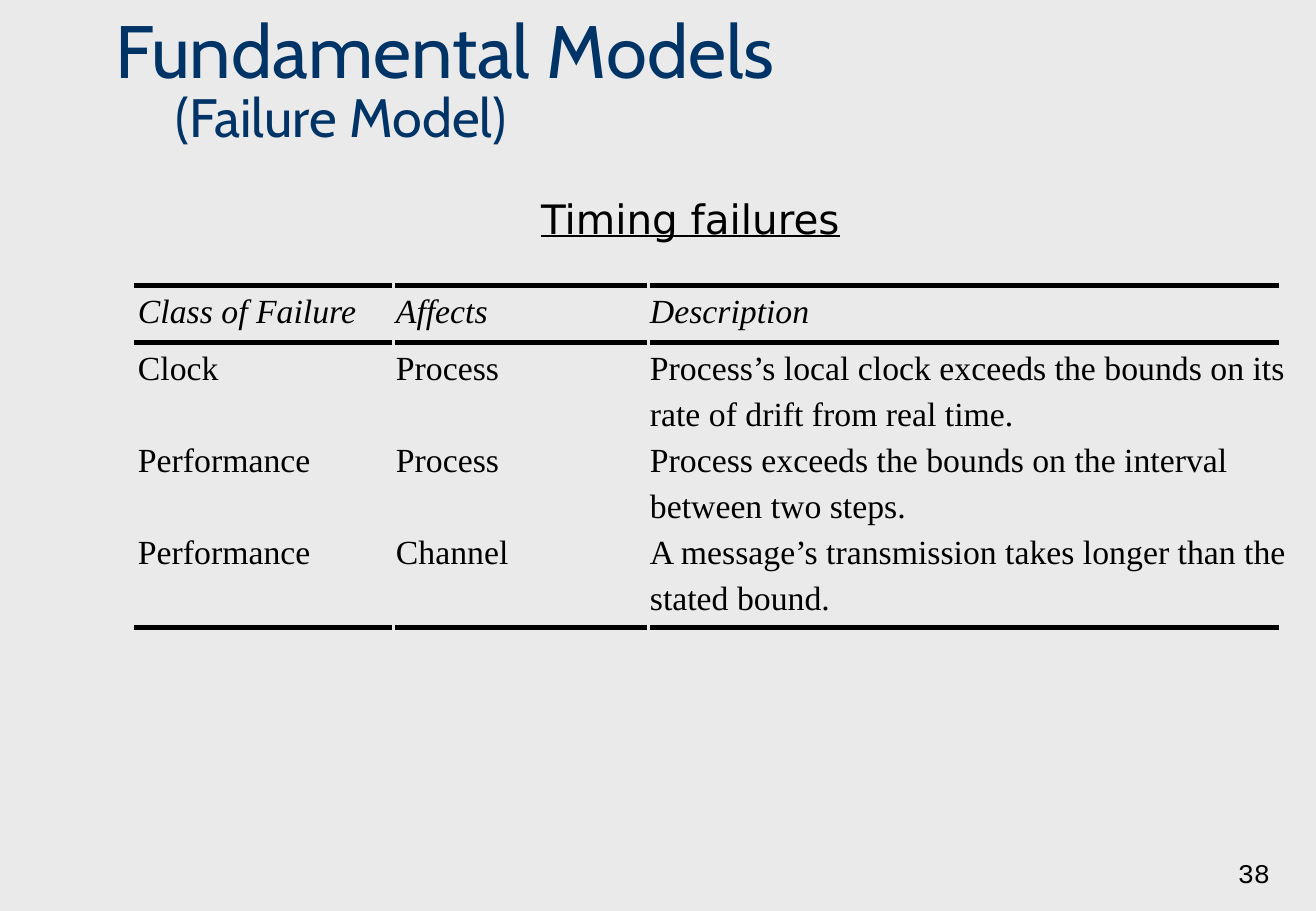
"""Build the slide on timing failures in the failure model."""
from typing import Any, NamedTuple

from lxml import etree
from pptx import Presentation
from pptx.dml.color import RGBColor
from pptx.enum.shapes import MSO_CONNECTOR
from pptx.enum.text import MSO_ANCHOR, MSO_AUTO_SIZE, PP_ALIGN
from pptx.oxml.ns import qn
from pptx.util import Inches, Pt

LEFT, MID, RIGHT = PP_ALIGN.LEFT, PP_ALIGN.CENTER, PP_ALIGN.RIGHT
TOP, BASE = MSO_ANCHOR.TOP, MSO_ANCHOR.BOTTOM
FIXED = MSO_AUTO_SIZE.NONE
STRAIGHT = MSO_CONNECTOR.STRAIGHT

SCALE = 7532
PLAIN = "{2D5ABB26-0587-4C30-8999-92F81FD0307C}"
PAPER, NAVY, BLACK = "EAEAEA", "003366", "000000"

HEAD = {"name": "Cabin", "size": Pt(44)}
SUB = {"name": "Cabin", "size": Pt(32)}
TOPIC = {"name": "DejaVu Sans", "size": Pt(24), "underline": True}
CELL = {"name": "Times New Roman", "size": Pt(20), "italic": False}
LABEL = {**CELL, "italic": True}
PAGE = {"name": "Courier New", "size": Pt(16)}


class Box(NamedTuple):
    left: int
    top: int
    width: int
    height: int


class Note(NamedTuple):
    text: str
    box: Box
    look: dict[str, Any]
    align: Any
    anchor: Any


class Span(NamedTuple):
    start: int
    end: int


NOTES = (
    Note("Timing failures", Box(283, 188, 815, 61), TOPIC, MID, TOP),
    Note("38", Box(1008, 833, 274, 61), PAGE, RIGHT, BASE),
)
ROWS = (
    ("Class of Failure", "Affects", "Description"),
    ("Clock", "Process",
     "Process’s local clock exceeds the bounds on its rate of drift from real time."),
    ("Performance", "Process",
     "Process exceeds the bounds on the interval between two steps."),
    ("Performance", "Channel",
     "A message’s transmission takes longer than the stated bound."),
)
GRID = Box(138, 285, 1162, 333)
WIDTHS = (258, 254, 650)
TALL = (57, 92, 92, 92)
SPANS = (Span(134, 392), Span(395, 647), Span(650, 1279))
RULES = (285, 342, 627)


def px(size: int) -> int:
    """Turn pixels into EMU."""
    return size * SCALE


def ink(code: str) -> RGBColor:
    """Turn a hex string into a colour."""
    return RGBColor.from_string(code)


def apply(item: Any, look: dict[str, Any]) -> None:
    """Set each format value on an item."""
    for key, value in look.items():
        setattr(item, key, value)


def write(para: Any, text: str, look: dict[str, Any], color: str = BLACK) -> None:
    """Add a formatted run to a paragraph."""
    run = para.add_run()
    run.text = text
    apply(run.font, look)
    run.font.color.rgb = ink(color)


def place(box: Box) -> dict[str, int]:
    """Give the EMU frame of a box."""
    return {key: px(value) for key, value in box._asdict().items()}


def draw_title(slide: Any) -> None:
    """Fill the title with its two lines."""
    title = slide.shapes.title
    apply(title, place(Box(103, 12, 1174, 143)))
    apply(title.text_frame, {"vertical_anchor": BASE, "auto_size": FIXED,
                             "word_wrap": True})
    para = title.text_frame.paragraphs[0]
    apply(para, {"alignment": LEFT, "line_spacing": 0.85})
    write(para, "Fundamental Models", HEAD, NAVY)
    para.add_line_break()
    write(para, "\t(Failure Model)", SUB, NAVY)


def draw_note(slide: Any, note: Note) -> None:
    """Draw one text box."""
    frame = slide.shapes.add_textbox(**place(note.box)).text_frame
    apply(frame, {"word_wrap": True, "vertical_anchor": note.anchor})
    para = frame.paragraphs[0]
    para.alignment = note.align
    write(para, note.text, note.look)


def fill_cell(cell: Any, text: str, look: dict[str, Any]) -> None:
    """Format and fill one table cell."""
    apply(cell, {"margin_left": 0, "margin_right": 0, "margin_top": 0,
                 "margin_bottom": 0, "vertical_anchor": TOP})
    cell.fill.background()
    para = cell.text_frame.paragraphs[0]
    apply(para, {"alignment": LEFT, "line_spacing": Pt(27)})
    write(para, text, look)


def draw_table(slide: Any) -> None:
    """Draw the table of failure classes."""
    shape = slide.shapes.add_table(len(ROWS), len(WIDTHS), **place(GRID))
    table = shape.table
    apply(table, {"first_row": False, "horz_banding": False})
    next(shape._element.iter(qn("a:tableStyleId"))).text = PLAIN
    for col, width in zip(table.columns, WIDTHS):
        col.width = px(width)
    for row, tall in zip(table.rows, TALL):
        row.height = px(tall)
    for i, texts in enumerate(ROWS):
        for j, text in enumerate(texts):
            fill_cell(table.cell(i, j), text, CELL if i else LABEL)


def draw_rule(slide: Any, span: Span, y: int) -> None:
    """Draw one rule over a column."""
    rule = slide.shapes.add_connector(STRAIGHT, px(span.start), px(y),
                                      px(span.end), px(y))
    rule.line.width = Pt(2.86)
    rule.line.color.rgb = ink(BLACK)
    etree.SubElement(rule._element.spPr, qn("a:effectLst"))


def main() -> None:
    """Build and save the slide."""
    deck = Presentation()
    apply(deck, {"slide_width": Inches(10.84), "slide_height": Inches(7.5)})
    slide = deck.slides.add_slide(deck.slide_layouts[5])
    back = slide.background.fill
    back.solid()
    back.fore_color.rgb = ink(PAPER)
    draw_title(slide)
    for note in NOTES:
        draw_note(slide, note)
    draw_table(slide)
    for y in RULES:
        for span in SPANS:
            draw_rule(slide, span, y)
    deck.save("out.pptx")


main()
